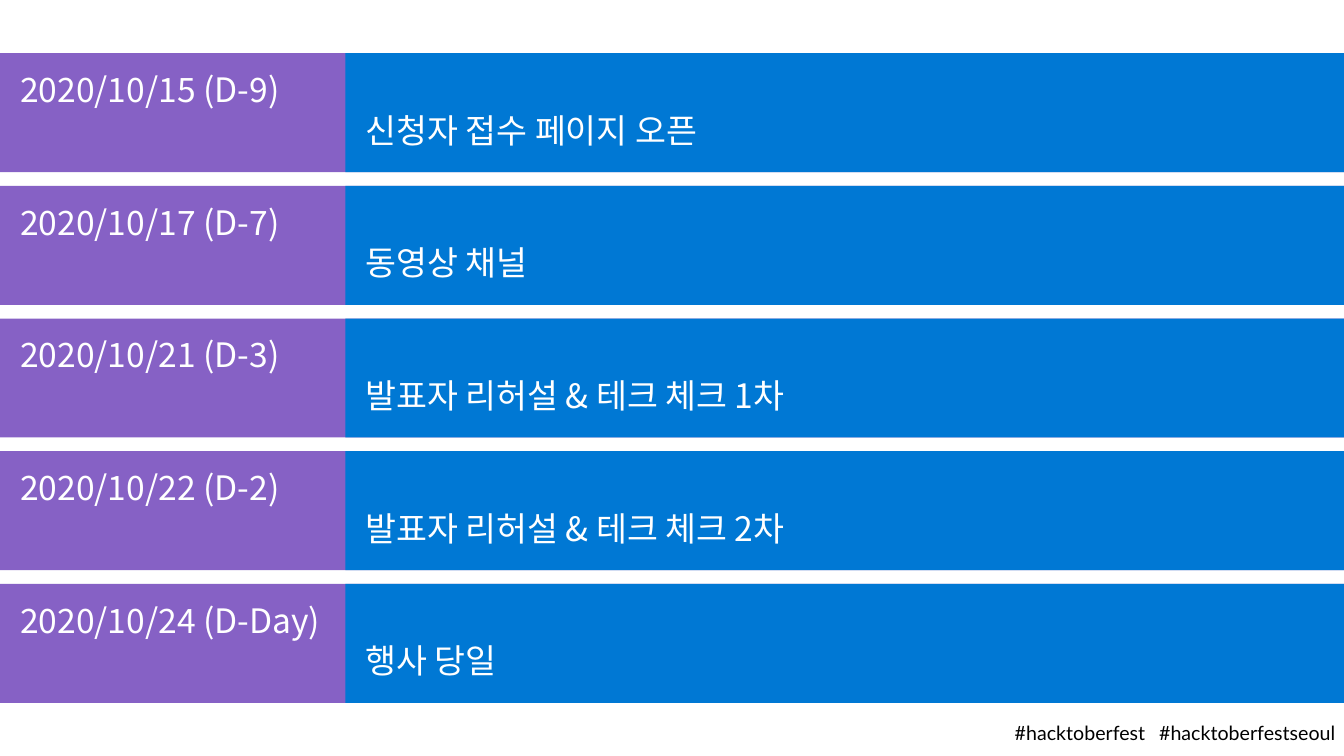
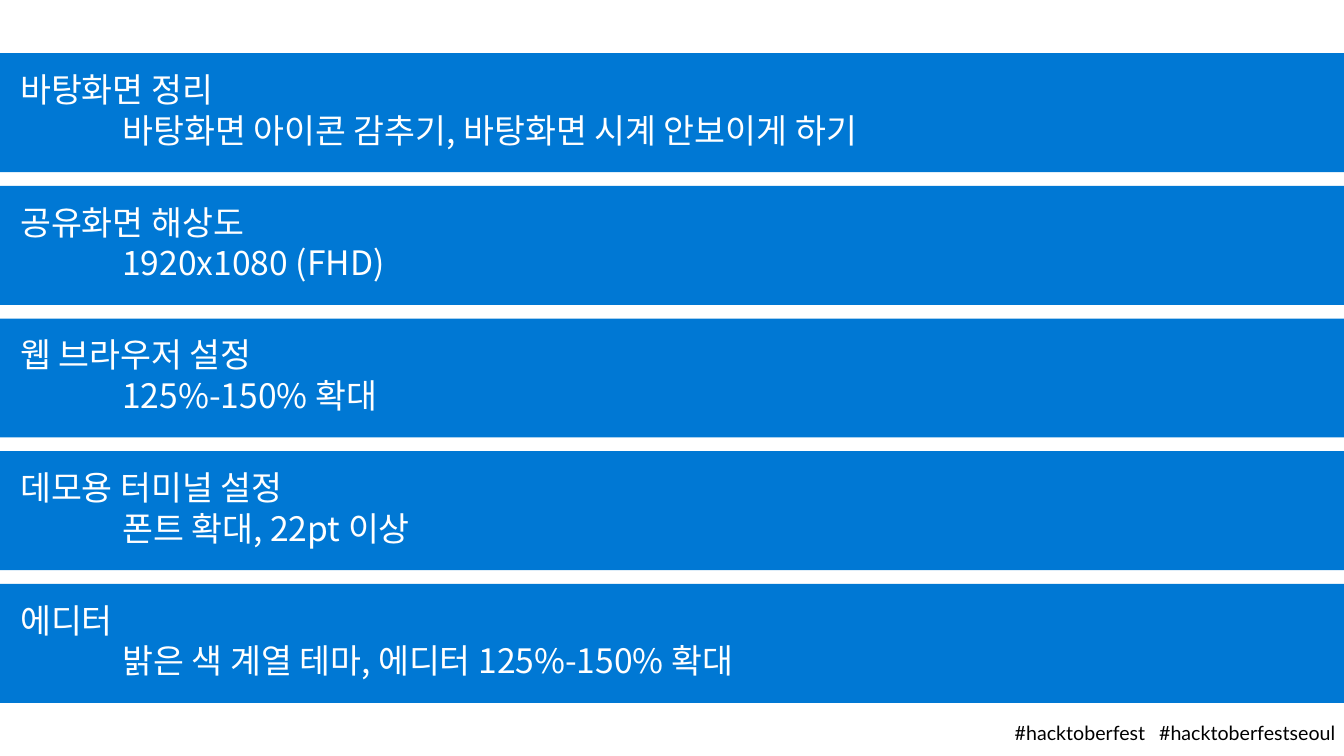
import pptx
import pptx.util
import pptx.dml.color
import pptx.enum.shapes
import pptx.enum.text
import pptx.oxml.ns
import lxml.etree

Pt = pptx.util.Pt
RGB = pptx.dml.color.RGBColor
ALIGN = pptx.enum.text.PP_ALIGN
ANCHOR = pptx.enum.text.MSO_ANCHOR

BLUE = RGB(0x00, 0x78, 0xD4)
PURPLE = RGB(0x86, 0x61, 0xC5)
WHITE = RGB(0xFF, 0xFF, 0xFF)
BLACK = RGB(0x00, 0x00, 0x00)
KOREAN = "Noto Sans CJK KR"
LATIN = "Lato"

WIDTH = 960
TOP = 38
PITCH = 94.75
HEIGHT = 85
SPLIT = 246.6
LINE = 29
PAD = 14.4
INSET = 11
INDENT = 73

DATES = [
    ("2020/10/15 (D-9)", "신청자 접수 페이지 오픈"),
    ("2020/10/17 (D-7)", "동영상 채널"),
    ("2020/10/21 (D-3)", "발표자 리허설 & 테크 체크 1차"),
    ("2020/10/22 (D-2)", "발표자 리허설 & 테크 체크 2차"),
    ("2020/10/24 (D-Day)", "행사 당일"),
]
CHECKS = [
    ("바탕화면 정리", "바탕화면 아이콘 감추기, 바탕화면 시계 안보이게 하기"),
    ("공유화면 해상도", "1920x1080 (FHD)"),
    ("웹 브라우저 설정", "125%-150% 확대"),
    ("데모용 터미널 설정", "폰트 확대, 22pt 이상"),
    ("에디터", "밝은 색 계열 테마, 에디터 125%-150% 확대"),
]
TAGS = [("#hacktoberfest", 707.8), ("#hacktoberfestseoul", 827.3)]


def write(para, text, size, face, color):
    run = para.add_run()
    run.text = text
    font = run.font
    font.size = Pt(size)
    font.name = face
    font.color.rgb = color
    east = lxml.etree.SubElement(font._element, pptx.oxml.ns.qn("a:ea"))
    east.set("typeface", face)


def band(slide, row, left, width, fill, lines, drop=0):
    shape = slide.shapes.add_shape(
        pptx.enum.shapes.MSO_SHAPE.RECTANGLE,
        Pt(left), Pt(TOP + row * PITCH), Pt(width), Pt(HEIGHT))
    shape.shadow.inherit = False
    shape.fill.solid()
    shape.fill.fore_color.rgb = fill
    shape.line.fill.background()
    frame = shape.text_frame
    frame.word_wrap = True
    frame.vertical_anchor = ANCHOR.TOP
    frame.margin_left = frame.margin_right = Pt(PAD)
    frame.margin_top = Pt(INSET + drop)
    frame.margin_bottom = Pt(INSET)
    for num, text in enumerate(lines):
        para = frame.add_paragraph() if num else frame.paragraphs[0]
        para.alignment = ALIGN.LEFT
        para.line_spacing = Pt(LINE)
        para._p.get_or_add_pPr().set("marL", str(Pt(INDENT * num)))
        write(para, text, 24, KOREAN, WHITE)


deck = pptx.Presentation()
deck.slide_width = Pt(WIDTH)
deck.slide_height = Pt(540)
blank = deck.slide_layouts[6]

dates = deck.slides.add_slide(blank)
for row, (day, event) in enumerate(DATES):
    band(dates, row, 0, WIDTH, PURPLE, [day])
    band(dates, row, SPLIT, WIDTH - SPLIT, BLUE, [event], LINE)

checks = deck.slides.add_slide(blank)
for row, check in enumerate(CHECKS):
    band(checks, row, 0, WIDTH, BLUE, check)

for slide in deck.slides:
    for tag, left in TAGS:
        box = slide.shapes.add_textbox(Pt(left), Pt(514.8), Pt(127.4), Pt(17))
        frame = box.text_frame
        frame.word_wrap = True
        frame.vertical_anchor = ANCHOR.MIDDLE
        frame.margin_left = frame.margin_right = 0
        frame.margin_top = frame.margin_bottom = 0
        frame.paragraphs[0].alignment = ALIGN.CENTER
        write(frame.paragraphs[0], tag, 14, LATIN, BLACK)

deck.save("out.pptx")
